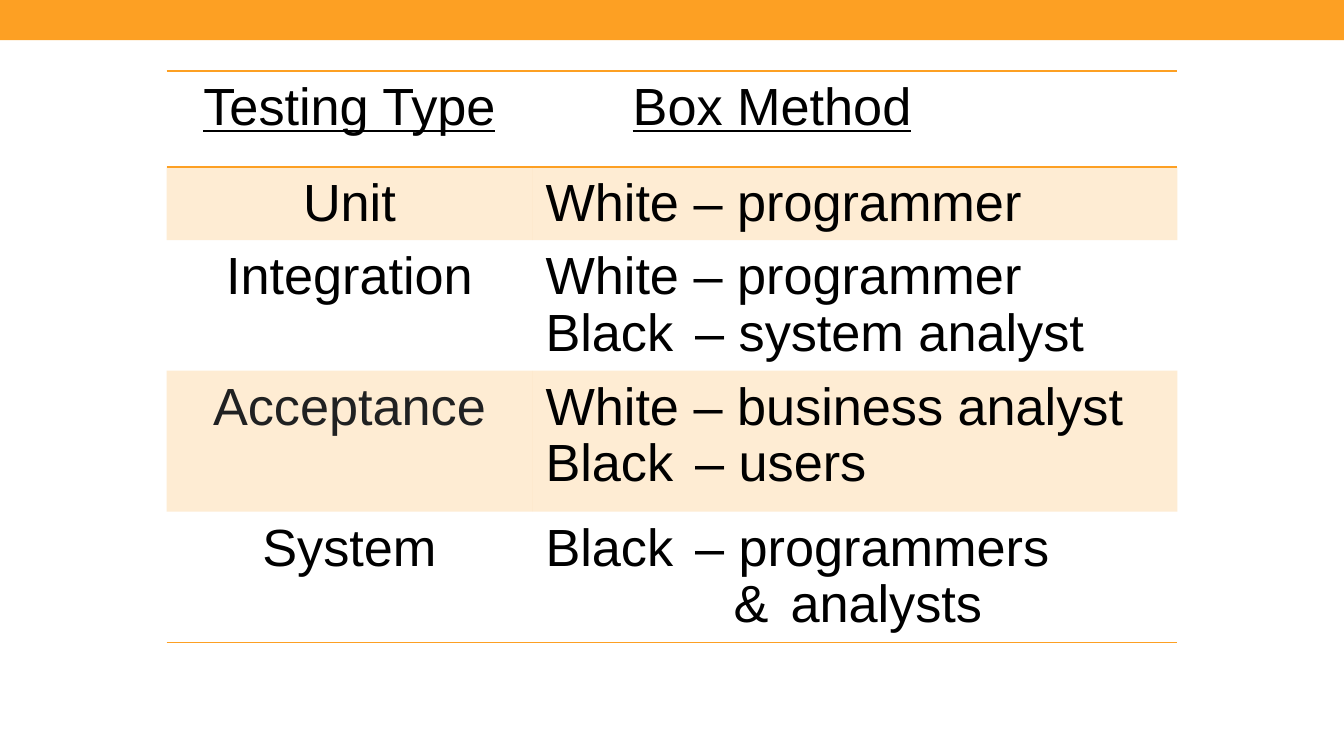
"""Builds a slide with a table of testing types and their box methods."""
from dataclasses import dataclass

from lxml import etree
from pptx import Presentation
from pptx import util as u
from pptx.dml.color import RGBColor
from pptx.enum import shapes, text
from pptx.oxml.ns import qn

Pt = u.Pt


@dataclass(frozen=True)
class Theme:
    accent: str = "FDA023"
    ink: str = "000000"
    soft_ink: str = "202122"
    font: str = "Arial"
    size: float = 28
    leading: float = 0.97
    band_alpha: int = 20
    rule: float = 1
    no_style: str = "{2D5ABB26-0587-4C30-8999-92F81FD0307C}"


def write(p, value, theme, color=None, underline=False, spacing=0):
    r = p.add_run()
    r.text = value
    f = r.font
    f.name, f.size, f.underline = theme.font, Pt(theme.size), underline
    f.color.rgb = RGBColor.from_string(color or theme.ink)
    if spacing:
        r._r.get_or_add_rPr().set("spc", str(spacing * 100))


class Deck:
    def __init__(self, theme, width, height):
        self.theme = theme
        self.prs = Presentation()
        self.prs.slide_width, self.prs.slide_height = Pt(width), Pt(height)
        self.slide = self.prs.slides.add_slide(self.prs.slide_layouts[6])

    def bar(self, x, y, w, h):
        sp = self.slide.shapes.add_shape(
            shapes.MSO_SHAPE.RECTANGLE, Pt(x), Pt(y), Pt(w), Pt(h))
        sp.shadow.inherit = False
        sp.fill.solid()
        sp.fill.fore_color.rgb = RGBColor.from_string(self.theme.accent)
        sp.line.fill.background()

    def table(self, x, y, widths, heights):
        frame = self.slide.shapes.add_table(
            len(heights), len(widths), Pt(x), Pt(y), Pt(sum(widths)), Pt(sum(heights)))
        tbl = frame.table
        tbl.first_row = tbl.horz_banding = False
        tbl._tbl.tblPr.find(qn("a:tableStyleId")).text = self.theme.no_style
        for col, w in zip(tbl.columns, widths):
            col.width = Pt(w)
        for row, h in zip(tbl.rows, heights):
            row.height = Pt(h)
        return tbl

    def cell(self, cell, lines, align, banded=False, rules=(), **fmt):
        cell.margin_top, cell.margin_bottom = Pt(5), Pt(2.6)
        if banded:
            cell.fill.solid()
            cell.fill.fore_color.rgb = RGBColor.from_string(self.theme.accent)
            clr = cell._tc.tcPr.find(f".//{qn('a:srgbClr')}")
            alpha = etree.SubElement(clr, qn("a:alpha"))
            alpha.set("val", str(self.theme.band_alpha * 1000))
        else:
            cell.fill.background()
        for i, side in enumerate(rules):
            self.border(cell, side, i)
        tf = cell.text_frame
        for i, (indent, runs) in enumerate(lines):
            p = tf.paragraphs[0] if i == 0 else tf.add_paragraph()
            p.alignment, p.line_spacing = align, self.theme.leading
            if indent:
                pPr = p._p.get_or_add_pPr()
                pPr.set("marL", str(Pt(indent)))
                pPr.set("indent", "0")
            for value, spacing in runs:
                write(p, value, self.theme, spacing=spacing, **fmt)

    def border(self, cell, side, index):
        ln = etree.Element(qn(f"a:ln{side}"), w=str(Pt(self.theme.rule)))
        fill = etree.SubElement(ln, qn("a:solidFill"))
        etree.SubElement(fill, qn("a:srgbClr"), val=self.theme.accent)
        cell._tc.get_or_add_tcPr().insert(index, ln)


def line(*runs, indent=0):
    return indent, [r if isinstance(r, tuple) else (r, 0) for r in runs]


def black(rest):
    return line("Black", (" ", 4), "– " + rest)


def main():
    theme = Theme()
    deck = Deck(theme, 720, 405)
    deck.bar(0, 0, 720, 21.6)
    rows = [
        ("Testing Type", [line("Box Method", indent=46.7)]),
        ("Unit", [line("White – programmer")]),
        ("Integration", [line("White – programmer"), black("system analyst")]),
        ("Acceptance", [line("White – business analyst"), black("users")]),
        ("System", [black("programmers"), line(("&", 4), " analysts", indent=100.8)]),
    ]
    tbl = deck.table(89.3, 38, [195.8, 345.6], [51.6, 39, 70, 75.6, 70])
    last = len(rows) - 1
    for i, (kind, methods) in enumerate(rows):
        fmt = dict(banded=i % 2 == 1, underline=i == 0,
                   rules={0: "TB", last: "B"}.get(i, ""))
        color = theme.soft_ink if kind == "Acceptance" else theme.ink
        deck.cell(tbl.cell(i, 0), [line(kind)], text.PP_ALIGN.CENTER, color=color, **fmt)
        deck.cell(tbl.cell(i, 1), methods, text.PP_ALIGN.LEFT, **fmt)
    deck.prs.save("out.pptx")


if __name__ == "__main__":
    main()
